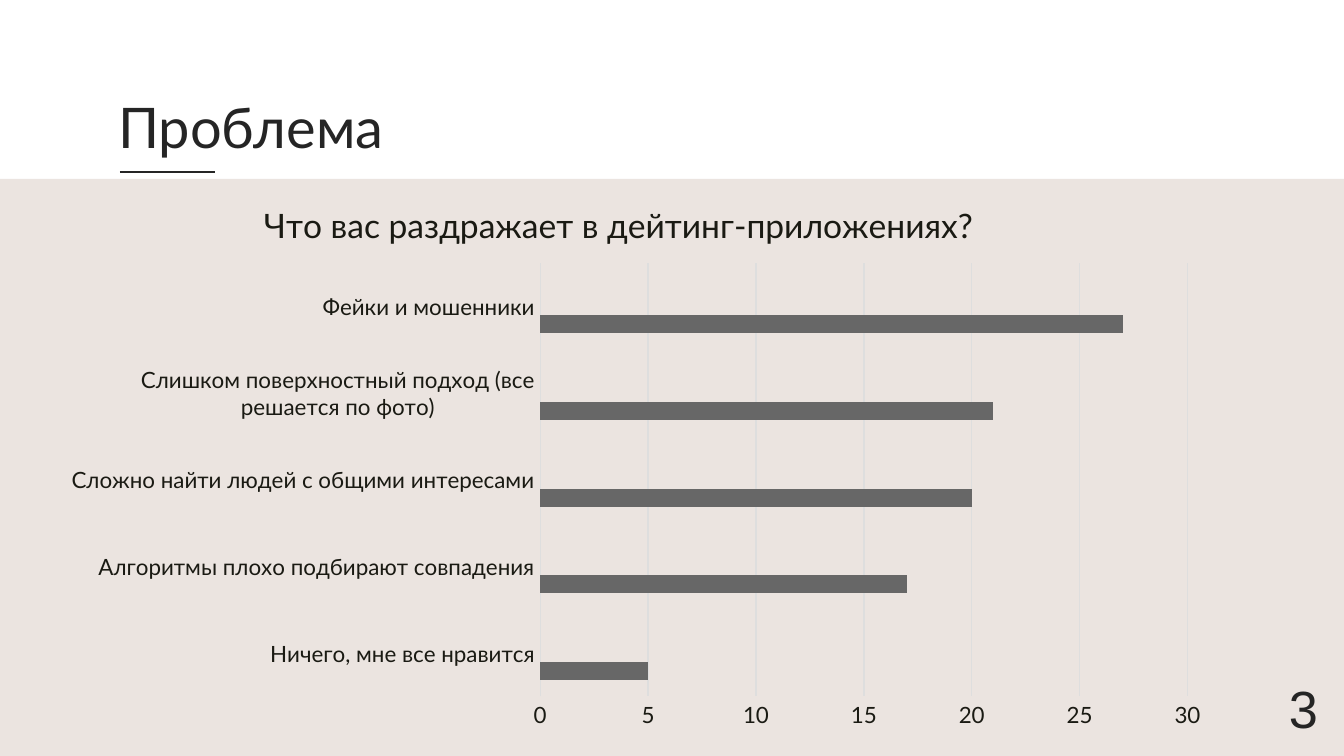
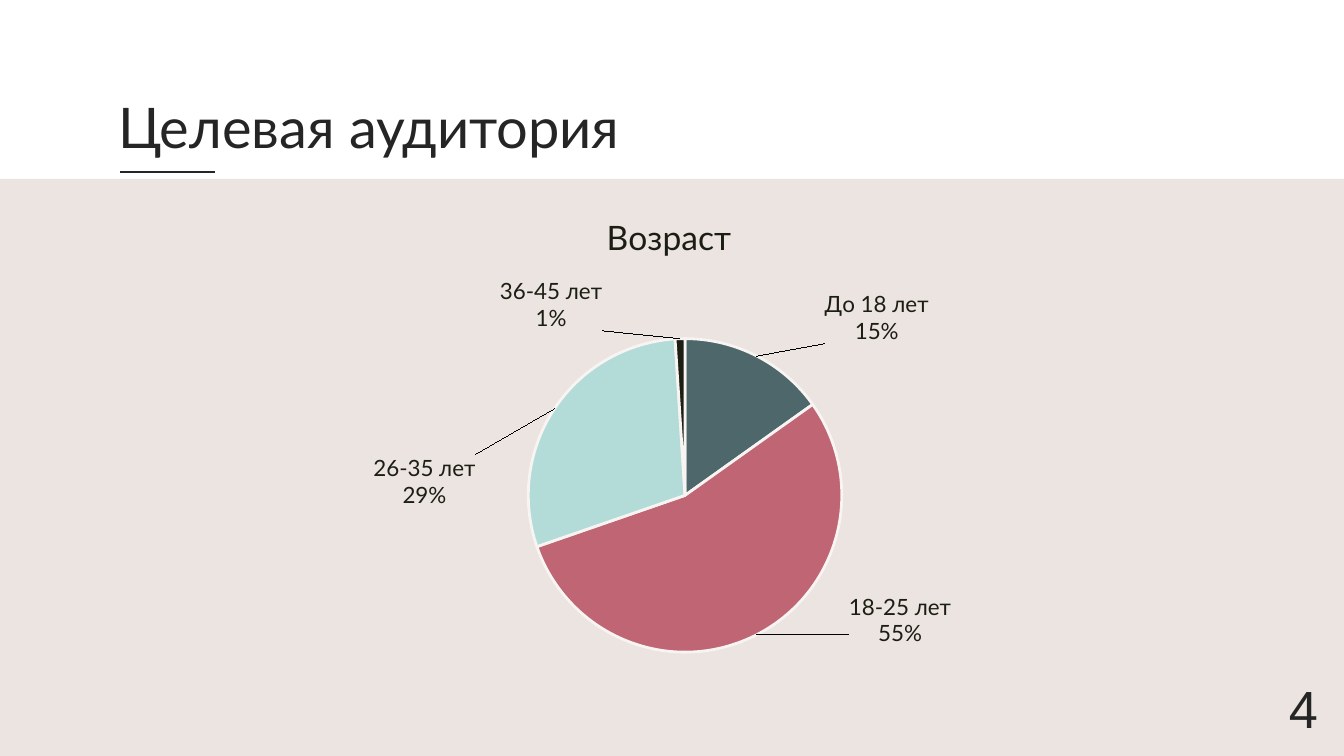
"""Builds two survey slides: dating-app annoyances and audience age."""
from lxml import etree
from pptx import Presentation
from pptx import util as u
from pptx.chart.data import CategoryChartData
from pptx.dml.color import RGBColor
from pptx.enum import chart as charts, shapes, text
from pptx.oxml.ns import qn

PX = 6804
INK, BAND, GRID, DARK, AGE_INK = "252525", "EBE4E0", "DEDEDE", "1A1A13", "1C1E13"


def rgb(code):
    return RGBColor.from_string(code)


def set_layout(parent, index, **values):
    for old in parent.findall(qn("c:layout")):
        parent.remove(old)
    layout = etree.Element(qn("c:layout"))
    manual = etree.SubElement(layout, qn("c:manualLayout"))
    for tag, value in values.items():
        etree.SubElement(manual, qn("c:" + tag)).set("val", str(value))
    parent.insert(index, layout)


deck = Presentation()
deck.slide_width, deck.slide_height = 1344 * PX, 756 * PX

pages = []
for number, heading in enumerate(("Проблема", "Целевая аудитория"), 3):
    page = deck.slides.add_slide(deck.slide_layouts[6])
    pages.append(page)
    band = page.shapes.add_shape(shapes.MSO_SHAPE.RECTANGLE, 0, 179 * PX, 1344 * PX, 577 * PX)
    band.shadow.inherit = False
    band.fill.solid()
    band.fill.fore_color.rgb = rgb(BAND)
    band.line.fill.background()

    rule = page.shapes.add_connector(
        shapes.MSO_CONNECTOR.STRAIGHT, 120 * PX, 172 * PX, 215 * PX, 172 * PX)
    rule.line.color.rgb = rgb(INK)
    rule.line.width = u.Pt(1.5)
    etree.SubElement(rule._element.spPr, qn("a:effectLst"))

    for words, left, top, width, height, size, font, align, anchor in (
        (heading, 105, 80, 848, 78, 30, "Lato", text.PP_ALIGN.LEFT, text.MSO_ANCHOR.TOP),
        (str(number), 1012, 661, 319, 94, 28, "Arial", text.PP_ALIGN.RIGHT, text.MSO_ANCHOR.MIDDLE),
    ):
        frame = page.shapes.add_textbox(left * PX, top * PX, width * PX, height * PX).text_frame
        frame.word_wrap = True
        frame.vertical_anchor = anchor
        frame.margin_left = frame.margin_right = 13 * PX
        frame.margin_top = frame.margin_bottom = 13 * PX
        line = frame.paragraphs[0]
        line.text = words
        line.alignment = align
        line.font.size = u.Pt(size)
        line.font.name = font
        line.font.color.rgb = rgb(INK)

problem, audience = pages

answers = CategoryChartData()
answers.categories = [
    "Ничего, мне все нравится",
    "Алгоритмы плохо подбирают совпадения",
    "Сложно найти людей с общими интересами",
    "Слишком поверхностный подход (все решается по фото)",
    "Фейки и мошенники",
]
answers.add_series("Series 1", (5, 17, 20, 21, 27))
answers.add_series("Series 2", (None,) * 5)
answers.add_series("Series 3", (None,) * 5)
annoyances = problem.shapes.add_chart(
    charts.XL_CHART_TYPE.BAR_CLUSTERED, 46 * PX, 172 * PX, 1177 * PX, 570 * PX, answers).chart

ages = CategoryChartData()
ages.categories = ["До 18 лет", "18-25 лет", "26-35 лет", "36-45 лет"]
ages.add_series("Series 1", (15, 54, 29, 1))
age_split = audience.shapes.add_chart(
    charts.XL_CHART_TYPE.PIE, 263 * PX, 180 * PX, 804 * PX, 544 * PX, ages).chart

for chart, question, color, title_at, plot_at in (
    (annoyances, "Что вас раздражает в дейтинг-приложениях?", DARK, (0.18, 0.04), (0.42, 0.16, 0.55, 0.76)),
    (age_split, "Возраст", AGE_INK, (0.42, 0.05), (0.33, 0.29, 0.39, 0.58)),
):
    chart.has_legend = False
    chart.font.size = u.Pt(10)
    chart.font.name = "Arial"
    chart.font.color.rgb = rgb(color)
    chart.has_title = True
    title = chart.chart_title.text_frame.paragraphs[0]
    title.text = question
    title.font.size = u.Pt(18)
    title.font.bold = False
    title.font.name = "Lato"
    title.font.color.rgb = rgb(color)
    set_layout(chart.chart_title._element, 1, xMode="edge", yMode="edge", x=title_at[0], y=title_at[1])
    x, y, w, h = plot_at
    set_layout(chart._chartSpace.chart.plotArea, 0, layoutTarget="inner",
               xMode="edge", yMode="edge", x=x, y=y, w=w, h=h)

bars = annoyances.plots[0]
bars.gap_width = 182
bars.overlap = 0
bars.vary_by_categories = False
for series, color in zip(bars.series, ("676767", "B5B5B5", "8E8E8E")):
    series.format.fill.solid()
    series.format.fill.fore_color.rgb = rgb(color)
for axis in (annoyances.category_axis, annoyances.value_axis):
    axis.major_tick_mark = axis.minor_tick_mark = charts.XL_TICK_MARK.NONE
    axis.tick_labels.font.size = u.Pt(12)
    axis.tick_labels.font.name = "Lato"
    axis.tick_labels.font.color.rgb = rgb(DARK)
counts = annoyances.value_axis
counts.minimum_scale, counts.maximum_scale, counts.major_unit = 0, 30, 5
counts.format.line.fill.background()
for stroke in (annoyances.category_axis.format.line, counts.major_gridlines.format.line):
    stroke.color.rgb = rgb(GRID)
    stroke.width = u.Pt(0.75)

age_split.plots[0].vary_by_categories = True
slices = age_split.plots[0].series[0]
labels = slices.data_labels
for index, (color, shift_x, shift_y) in enumerate((
    ("4E676B", 67, -6), ("C06574", 86, -48), ("B3DCD8", -71, 102), (AGE_INK, -125, 1),
)):
    point = slices.points[index]
    point.format.fill.solid()
    point.format.fill.fore_color.rgb = rgb(color)
    point.format.line.color.rgb = rgb("F7F4F2")
    point.format.line.width = u.Pt(1.5)
    point.data_label.position = charts.XL_LABEL_POSITION.OUTSIDE_END
    point.data_label.font.size = u.Pt(12)
    point.data_label.font.name = "Lato"
    point.data_label.font.color.rgb = rgb(AGE_INK)
    label = slices._element.findall(".//" + qn("c:dLbl"))[index]
    set_layout(label, 1, x=round(shift_x / 804, 2), y=round(shift_y / 544, 2))
    for tag, shown in (("showVal", "0"), ("showCatName", "1"), ("showPercent", "1")):
        label.find(qn("c:" + tag)).set("val", shown)
    etree.SubElement(label, qn("c:separator")).text = "\n"
labels.font.size = u.Pt(12)
labels.font.name = "Lato"
labels.font.color.rgb = rgb(AGE_INK)
labels.position = charts.XL_LABEL_POSITION.OUTSIDE_END
labels.show_value = False
labels.show_category_name = labels.show_percentage = True

deck.save("out.pptx")
